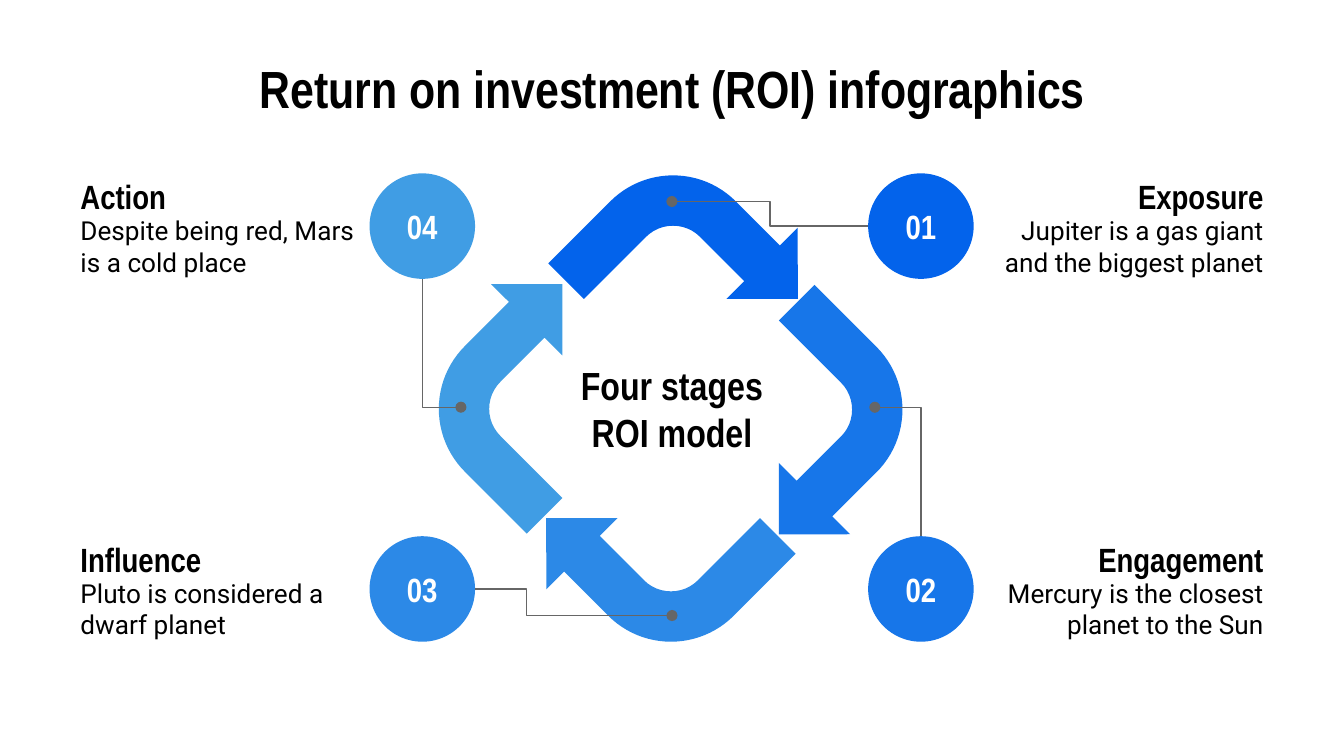
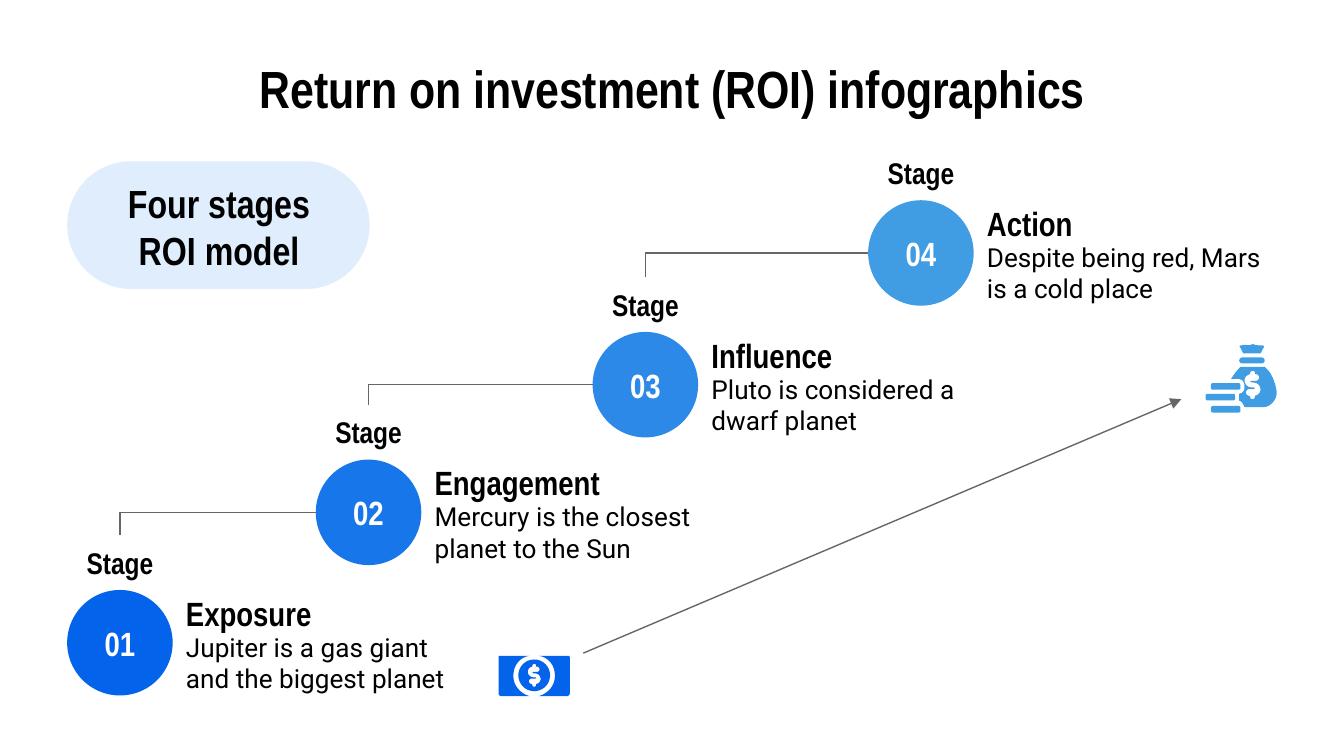
from math import cos, pi, sin

from lxml.etree import SubElement
from pptx import Presentation
from pptx.dml.color import RGBColor
from pptx.enum.shapes import MSO_CONNECTOR, MSO_SHAPE
from pptx.enum.text import MSO_ANCHOR, PP_ALIGN
from pptx.oxml.ns import qn
from pptx.util import Inches, Pt

SLIDE_WIDTH, SLIDE_HEIGHT = Inches(10), Inches(5.625)
CELL = SLIDE_WIDTH // 100
CIRCLE = 7.85
LABEL_WIDTH = 22.5
STAGE_HEIGHT = 4.1
COLORS = {
    "text": "000000", "white": "FFFFFF", "line": "666666",
    "01": "0363EB", "02": "1776E9", "03": "2C89E7", "04": "409DE4",
}
STYLES = {
    "title": {"name": "Arial Narrow", "size": Pt(28), "bold": True},
    "center": {"name": "Arial Narrow", "size": Pt(21), "bold": True},
    "heading": {"name": "Arial Narrow", "size": Pt(18), "bold": True},
    "stage": {"name": "Arial Narrow", "size": Pt(16), "bold": True},
    "body": {"name": "Roboto", "size": Pt(14), "bold": False},
}
FRAME = {
    "word_wrap": True, "vertical_anchor": MSO_ANCHOR.MIDDLE,
    "margin_left": CELL, "margin_right": CELL, "margin_top": CELL, "margin_bottom": CELL,
}
SIDES = {"top": (0.5, 0, 0), "left": (0, 0.5, 2), "bottom": (0.5, 1, 4), "right": (1, 0.5, 6)}
STAGES = {
    "01": ("Exposure", "Jupiter is a gas giant and the biggest planet"),
    "02": ("Engagement", "Mercury is the closest planet to the Sun"),
    "03": ("Influence", "Pluto is considered a dwarf planet"),
    "04": ("Action", "Despite being red, Mars is a cold place"),
}
TITLE = "Return on investment (ROI) infographics"
MODEL = "Four stages ROI model"

HALF_DOLLAR = [
    (0, -0.85), (0.15, -0.85, 0.15, -0.75, 0.15, -0.65), (0.25, -0.65),
    (0.45, -0.55, 0.45, -0.35, 0.25, -0.25), (-0.05, -0.25),
    (-0.15, -0.25, -0.15, -0.15, -0.05, -0.15), (0.05, -0.15),
    (0.55, -0.15, 0.65, 0.55, 0.15, 0.65), (0.15, 0.78, 0.1, 0.85, 0, 0.85),
]
BAG = [
    (92.3, 27.3), (92, 27.6, 91.8, 27.9, 91.6, 28.2), (92.1, 28.2),
    (92.4, 28.2, 92.6, 28.4, 92.6, 28.7), (92.6, 28.9),
    (92.6, 29.1, 92.4, 29.3, 92.2, 29.3), (92.2, 29.8),
    (92.4, 29.9, 92.5, 30, 92.6, 30.3), (94, 30.3),
    (94.5, 30.3, 95, 29.8, 95, 29.2), (94.9, 28.4, 94.6, 27.7, 94.1, 27.3),
]
BAG_NECK = [
    (93.2, 25.6), (92.9, 25.8, 92.6, 25.6, 92.4, 25.7),
    (92.2, 25.7, 92.2, 25.8, 92.3, 25.9), (92.5, 26.3), (93.8, 26.3), (94, 25.9),
    (94.1, 25.8, 94, 25.7, 93.9, 25.7), (93.6, 25.7, 93.4, 25.7, 93.2, 25.6),
]
BILL_SIDE = [
    (37.3, 48.8), (37.2, 48.8, 37.1, 48.8, 37.1, 48.9), (37.1, 51.6),
    (37.1, 51.7, 37.2, 51.8, 37.3, 51.8), (39.4, 51.8),
    (38.7, 51.6, 38.2, 51, 38.2, 50.3), (38.2, 49.5, 38.7, 48.9, 39.4, 48.8),
]


def cells(*values):
    return [round(value * CELL) for value in values]


def set_attributes(target, values):
    for name, value in values.items():
        setattr(target, name, value)


def write(shape, text, style, color="text", align=PP_ALIGN.CENTER):
    set_attributes(shape.text_frame, FRAME)
    paragraph = shape.text_frame.paragraphs[0]
    paragraph.text = text
    paragraph.alignment = align
    set_attributes(paragraph.font, STYLES[style])
    paragraph.font.color.rgb = RGBColor.from_string(COLORS[color])


def add_text(slide, box, text, style, align=PP_ALIGN.CENTER):
    shape = slide.shapes.add_textbox(*cells(*box))
    write(shape, text, style, align=align)
    return shape


def paint(shape, color):
    shape.shadow.inherit = False
    shape.fill.solid()
    shape.fill.fore_color.rgb = RGBColor.from_string(COLORS[color])
    shape.line.fill.background()


def add_preset(slide, preset, box, color, adjustments=(), rotation=0):
    shape = slide.shapes.add_shape(preset, *cells(*box))
    paint(shape, color)
    shape.rotation = rotation
    for index, value in enumerate(adjustments):
        shape.adjustments[index] = value
    return shape


def add_stage(slide, number, left, top, label_left, align=PP_ALIGN.LEFT):
    heading, body = STAGES[number]
    add_text(slide, (label_left, top + 0.2, LABEL_WIDTH, 3), heading, "heading", align)
    add_text(slide, (label_left, top + 3.2, LABEL_WIDTH, 4.4), body, "body", align)
    circle = add_preset(slide, MSO_SHAPE.OVAL, (left, top, CIRCLE, CIRCLE), number)
    write(circle, number, "heading", "white")
    return circle


def style_line(connector, tail=None):
    connector.line.width = Pt(0.75)
    connector.line.color.rgb = RGBColor.from_string(COLORS["line"])
    if tail:
        SubElement(connector.line._get_or_add_ln(), qn("a:tailEnd"), type=tail)
    SubElement(connector.element.spPr, qn("a:effectLst"))


def side_point(shape, side):
    across, down, _ = SIDES[side]
    return round(shape.left + across * shape.width), round(shape.top + down * shape.height)


def join(connector, tag, shape, side):
    holder = connector.element.find(".//" + qn("p:cNvCxnSpPr"))
    SubElement(holder, qn(tag), id=str(shape.shape_id), idx=str(SIDES[side][2]))


def add_elbow(slide, shape, side, end, tail=None, bend=0.5):
    begin = side_point(shape, side)
    width, height = end[0] - begin[0], end[1] - begin[1]
    if side in ("left", "right"):
        connector = slide.shapes.add_connector(MSO_CONNECTOR.ELBOW, *begin, *end)
        guides = connector.element.spPr.find(qn("a:prstGeom")).get_or_add_avLst()
        SubElement(guides, qn("a:gd"), name="adj1", fmla=f"val {round(bend * 100000)}")
    else:
        middle_x, middle_y = (begin[0] + end[0]) // 2, (begin[1] + end[1]) // 2
        half_x, half_y = abs(height) // 2, abs(width) // 2
        if (width < 0) == (height < 0):
            half_x = -half_x
        connector = slide.shapes.add_connector(
            MSO_CONNECTOR.ELBOW, middle_x - half_x, middle_y - half_y,
            middle_x + half_x, middle_y + half_y)
        properties = connector.element.spPr
        properties.find(qn("a:prstGeom")).set("prst", "bentConnector2")
        properties.find(qn("a:xfrm")).set("rot", str((90 if width < 0 else 270) * 60000))
    style_line(connector, tail)
    join(connector, "a:stCxn", shape, side)
    return connector


def transform(outline, x=0, y=0, scale_x=1, scale_y=1):
    return [
        tuple(value * (scale_y if index % 2 else scale_x) + (y if index % 2 else x)
              for index, value in enumerate(step))
        for step in outline
    ]


def flatten(outline, parts=8):
    points = []
    for step in outline:
        if len(step) == 2:
            points.append(tuple(cells(*step)))
            continue
        start_x, start_y = points[-1]
        x1, y1, x2, y2, x3, y3 = cells(*step)
        for part in range(1, parts + 1):
            t = part / parts
            a, b, c, d = (1 - t) ** 3, 3 * t * (1 - t) ** 2, 3 * t * t * (1 - t), t ** 3
            points.append((round(a * start_x + b * x1 + c * x2 + d * x3),
                           round(a * start_y + b * y1 + c * y2 + d * y3)))
    return points


def add_outline(slide, color, *outlines):
    contours = [flatten(outline) for outline in outlines]
    builder = slide.shapes.build_freeform(*contours[0][0], scale=1.0)
    for index, contour in enumerate(contours):
        if index:
            builder.move_to(*contour[0])
        builder.add_line_segments(contour[1:], close=True)
    paint(builder.convert_to_shape(), color)


def dollar(x, y, scale=1):
    return transform(HALF_DOLLAR + transform(HALF_DOLLAR, 0, 0, -1, -1), x, y, scale, scale)


def add_money_bag(slide):
    add_preset(slide, MSO_SHAPE.ROUNDED_RECTANGLE, (92.2, 26.6, 1.9, 0.45), "04", [0.5])
    for left, top in ((90.1, 30.2), (89.7, 29.3), (90.1, 28.5)):
        add_preset(slide, MSO_SHAPE.ROUNDED_RECTANGLE, (left, top, 2.2, 0.5), "04", [0.3])
    add_outline(slide, "04", BAG, dollar(93.2, 28.65, 1.24))
    add_outline(slide, "04", BAG_NECK)


def add_bill(slide):
    center_x, center_y, radius = 39.75, 50.25, 1.18
    coin = [(center_x + radius * cos(step * pi / 24), center_y + radius * sin(step * pi / 24))
            for step in range(48)]
    add_outline(slide, "01", BILL_SIDE)
    add_outline(slide, "01", transform(BILL_SIDE, 2 * center_x, 0, -1))
    add_outline(slide, "01", coin, dollar(center_x, center_y))


def add_slide(presentation):
    slide = presentation.slides.add_slide(presentation.slide_layouts[6])
    add_text(slide, (5, 4.5, 90, 4.1), TITLE, "title")
    return slide


def build_cycle(presentation):
    slide = add_slide(presentation)
    arrows = (("02", 53.1, 24.3, 135), ("01", 43.9, 12.1, 45),
              ("04", 31.7, 21.6, 315), ("03", 41.1, 33.7, 225))
    for number, left, top, rotation in arrows:
        add_preset(slide, MSO_SHAPE.BENT_ARROW, (left, top, 15, 15), number,
                   (0.25, 0.25, 0.25, 0.44), rotation)
    left, right = (27.5, 5, PP_ALIGN.LEFT), (64.6, 72.5, PP_ALIGN.RIGHT)
    upper, lower = 12.9, 39.9
    stages = (
        ("01", right, upper, "left", (50, 15), 0.5),
        ("02", right, lower, "top", (65.1, 30.3), 0.5),
        ("04", left, upper, "bottom", (34.3, 30.3), 0.5),
        ("03", left, lower, "right", (50, 45.8), 0.26),
    )
    for number, (circle_left, label_left, align), top, side, end, bend in stages:
        circle = add_stage(slide, number, circle_left, top, label_left, align)
        add_elbow(slide, circle, side, cells(*end), "oval", bend)
    add_text(slide, (42.1, 26.9, 15.8, 6.9), MODEL, "center")


def build_staircase(presentation):
    slide = add_slide(presentation)
    pill = add_preset(slide, MSO_SHAPE.ROUNDED_RECTANGLE, (5, 12, 22.5, 9.5), "02", [0.5])
    color = pill.element.spPr.find(qn("a:solidFill")).find(qn("a:srgbClr"))
    SubElement(color, qn("a:alpha"), val="13000")
    add_text(slide, (8.4, 13.4, 15.8, 6.9), MODEL, "center")
    previous = None
    for number, left, top in (("01", 5, 43.9), ("02", 23.5, 34.2),
                              ("03", 44.1, 24.7), ("04", 64.6, 14.9)):
        circle = add_stage(slide, number, left, top, left + CIRCLE)
        if previous:
            elbow = add_elbow(slide, previous, "top", side_point(circle, "left"))
            join(elbow, "a:endCxn", circle, "left")
        previous = add_text(
            slide, (left, top - STAGE_HEIGHT, CIRCLE, STAGE_HEIGHT), "Stage", "stage")
    arrow = slide.shapes.add_connector(MSO_CONNECTOR.STRAIGHT, *cells(43.4, 48.6, 87.9, 29.7))
    style_line(arrow, "triangle")
    add_money_bag(slide)
    add_bill(slide)


def main():
    presentation = Presentation()
    set_attributes(presentation, {"slide_width": SLIDE_WIDTH, "slide_height": SLIDE_HEIGHT})
    build_cycle(presentation)
    build_staircase(presentation)
    presentation.save("out.pptx")


if __name__ == "__main__":
    main()
